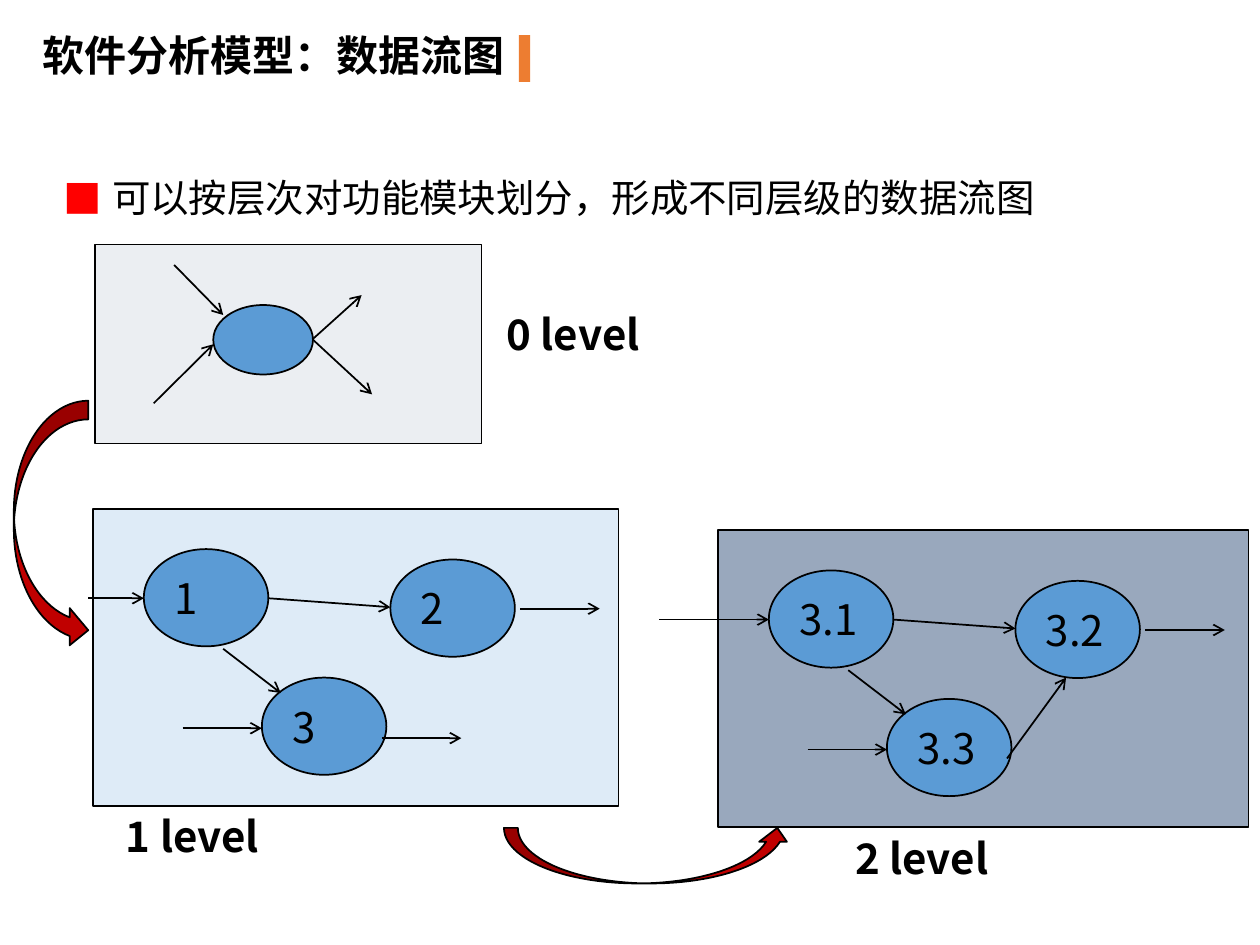
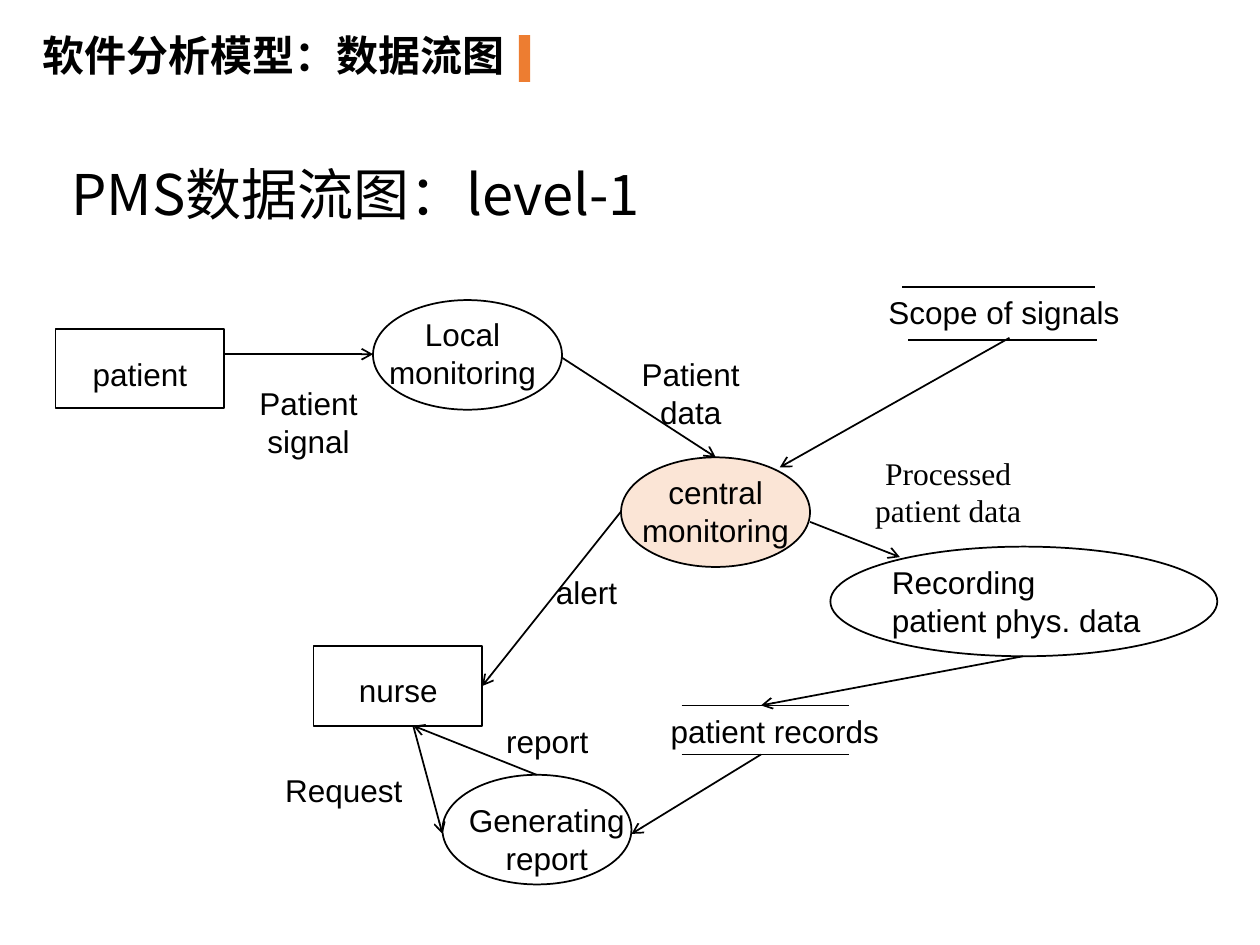
from dataclasses import dataclass

import pptx
import pptx.dml.color
import pptx.enum.shapes
import pptx.enum.text
import pptx.oxml
import pptx.oxml.ns
import pptx.util
from lxml import etree

Cm, Pt = pptx.util.Cm, pptx.util.Pt
SHAPE = pptx.enum.shapes.MSO_SHAPE
ALIGN = pptx.enum.text.PP_ALIGN
RIGHT_SIDE = 3


@dataclass(frozen=True)
class Theme:
    ink: str = "000000"
    paper: str = "FFFFFF"
    accent: str = "ED7D31"
    bullet: str = "FF0000"
    process: str = "5B9BD5"
    highlight: str = "FBE5D6"
    descent: str = "C00000"
    cjk: str = "Noto Sans CJK SC"
    sans: str = "Arial"
    serif: str = "Times New Roman"
    title_size: int = 24
    node_size: int = 24
    bullet_size: int = 22
    heading_size: int = 32
    label_size: int = 18


THEME = Theme()

# All measures are in centimetres: boxes are (left, top, width, height),
# flows are (from x, from y, to x, to y).
TITLE = "软件分析模型：数据流图"
TITLE_BOX = (0.61, 0.46, 11.48, 1.27)
TITLE_BAR = (10.46, 0.71, 0.23, 0.94)

# Slide 1: nodes and flows are measured from the corner of their level's panel.
LAYERING_POINT = "可以按层次对功能模块划分，形成不同层级的数据流图"
LAYERING_BOX = (1.04, 3.38, 22.89, 1.19)
BULLET_INDENT = 0.97

DETAIL_NODE = (2.51, 1.96)
DETAIL_PLACES = [(1.02, 0.81), (5.99, 1.02), (3.4, 3.4)]
DETAIL_FLOWS = [
    (2.62, 2.82, 3.78, 3.71),
    (3.53, 1.8, 5.99, 1.98),
    (1.8, 4.42, 3.4, 4.42),
    (8.61, 2.01, 10.21, 2.01),
]
LEVELS = [
    dict(
        label="0 level", label_box=(9.96, 6.1, 3.81, 1.27),
        panel=(1.91, 4.93, 7.8, 4.01), fill="EBEEF2",
        node_size=(2.01, 1.4), nodes=[""], places=[(2.39, 1.22)],
        flows=[
            (1.6, 0.41, 2.59, 1.42),
            (1.19, 3.2, 2.39, 2.01),
            (4.39, 1.91, 5.38, 1.02),
            (4.39, 1.91, 5.59, 3.02),
        ],
    ),
    dict(
        label="1 level", label_box=(2.29, 16.21, 8.56, 1.27),
        panel=(1.88, 10.26, 10.59, 5.99), fill="DEEBF7",
        node_size=DETAIL_NODE, nodes=["1", "2", "3"], places=DETAIL_PLACES,
        flows=DETAIL_FLOWS + [(-0.1, 1.8, 1.02, 1.8), (5.82, 4.62, 7.42, 4.62)],
    ),
    dict(
        label="2 level", label_box=(16.99, 16.66, 8.2, 1.27),
        panel=(14.48, 10.69, 10.69, 5.99), fill="99A8BD",
        node_size=DETAIL_NODE, nodes=["3.1", "3.2", "3.3"], places=DETAIL_PLACES,
        flows=DETAIL_FLOWS + [(-1.19, 1.8, 1.02, 1.8), (5.82, 4.6, 7.01, 2.97)],
    ),
]
DESCENTS = [
    (SHAPE.CURVED_RIGHT_ARROW, (0.28, 8.08, 1.5, 5)),
    (SHAPE.CURVED_UP_ARROW, (10.16, 16.69, 5.79, 1.12)),
]

# Slide 2
PMS_HEADING = "PMS数据流图：level-1"
PMS_HEADING_BOX = (1.19, 3.25, 16.28, 1.83)
PROCESS = (3.81, 2.21)
ENTITY = (3.4, 1.6)
PROCESSES = [
    ((12.52, 9.22, *PROCESS), THEME.highlight),
    ((7.52, 6.05, *PROCESS), THEME.paper),
    ((8.92, 15.62, *PROCESS), THEME.paper),
    ((16.74, 11.02, 7.8, 2.21), THEME.paper),
]
PATIENT = (1.12, 6.63, *ENTITY)
NURSE = (6.32, 13.03, *ENTITY)
STORE_EDGES = [
    (13.74, 14.22, 17.12, 14.22),
    (13.74, 15.21, 17.12, 15.21),
    (18.19, 5.79, 22.07, 5.79),
    (18.31, 6.86, 22.12, 6.86),
]
ALERT_FLOW = (12.52, 10.31, 9.73, 13.83)
PMS_FLOWS = [
    (4.52, 7.14, 7.52, 7.14),
    (11.33, 7.21, 14.43, 9.22),
    (20.35, 6.81, 15.72, 9.42),
    (16.33, 10.52, 18.14, 11.23),
    (20.62, 13.23, 15.34, 14.22),
    (15.34, 15.21, 12.73, 16.81),
    (10.82, 15.62, 8.33, 14.63),
    (8.33, 14.63, 8.92, 16.81),
]
ONE_LINE, TWO_LINES = 1.02, 1.8
PMS_LABELS = [
    ("patient", (1.32, 7.04, 3, ONE_LINE)),
    ("nurse", (6.53, 13.41, 3, ONE_LINE)),
    ("patient records", (12.32, 14.22, 6.6, ONE_LINE)),
    ("Scope of signals", (16.94, 5.79, 6.6, ONE_LINE)),
    ("alert", (10.72, 11.43, 2.21, ONE_LINE)),
    ("Request", (5.33, 15.42, 3.2, ONE_LINE)),
    ("report", (9.93, 14.43, 2.21, ONE_LINE)),
    ("Local monitoring", (7.52, 6.22, 3.61, TWO_LINES)),
    ("Patient signal", (4.52, 7.62, 3.4, TWO_LINES)),
    ("central monitoring", (12.52, 9.42, 3.81, TWO_LINES)),
    ("Patient data", (12.12, 7.04, 3.61, TWO_LINES)),
    ("Generating report", (9.12, 16.03, 3.81, TWO_LINES)),
]
RECORDING = ("Recording\vpatient phys. data", (17.73, 11.23, 5.59, TWO_LINES))
PROCESSED = ("Processed patient data", (17.12, 9.02, 3.99, TWO_LINES))


def rgb(value):
    return pptx.dml.color.RGBColor.from_string(value)


def lengths(values):
    return [Cm(value) for value in values]


def write(frame, text, size, font=THEME.cjk, bold=False, align=ALIGN.LEFT):
    """Fill a text frame with one formatted paragraph and return it."""
    frame.text = text
    frame.word_wrap = True
    frame.auto_size = pptx.enum.text.MSO_AUTO_SIZE.NONE
    paragraph = frame.paragraphs[0]
    paragraph.alignment = align
    for run in paragraph.runs:
        run.font.size = Pt(size)
        run.font.bold = bold
        run.font.color.rgb = rgb(THEME.ink)
        run.font.name = font
        east_asian = etree.SubElement(run.font._element, pptx.oxml.ns.qn("a:ea"))
        east_asian.set("typeface", font)
    return paragraph


def add_text(slide, text, box, size, **style):
    frame = slide.shapes.add_textbox(*lengths(box)).text_frame
    return write(frame, text, size, **style)


def add_block(slide, kind, box, fill, outlined=True):
    block = slide.shapes.add_shape(kind, *lengths(box))
    block.shadow.inherit = False
    block.fill.solid()
    block.fill.fore_color.rgb = rgb(fill)
    if outlined:
        block.line.color.rgb = rgb(THEME.ink)
        block.line.width = Pt(1)
    else:
        block.line.fill.background()
    return block


def add_line(slide, ends, arrow=True):
    straight = pptx.enum.shapes.MSO_CONNECTOR.STRAIGHT
    line = slide.shapes.add_connector(straight, *lengths(ends))
    line.line.color.rgb = rgb(THEME.ink)
    line.line.width = Pt(1)
    if arrow:
        head = etree.SubElement(line.line._get_or_add_ln(), pptx.oxml.ns.qn("a:tailEnd"))
        head.set("type", "arrow")
    etree.SubElement(line._element.spPr, pptx.oxml.ns.qn("a:effectLst"))
    return line


def add_titled_slide(deck):
    slide = deck.slides.add_slide(deck.slide_layouts[5])
    title = slide.shapes.title
    title.left, title.top, title.width, title.height = lengths(TITLE_BOX)
    write(title.text_frame, TITLE, THEME.title_size, bold=True)
    title.text_frame.vertical_anchor = pptx.enum.text.MSO_ANCHOR.TOP
    add_block(slide, SHAPE.RECTANGLE, TITLE_BAR, THEME.accent, outlined=False)
    return slide


def add_bullet(paragraph):
    properties = paragraph._p.get_or_add_pPr()
    properties.set("marL", str(Cm(BULLET_INDENT)))
    properties.set("indent", str(-Cm(BULLET_INDENT)))
    colour = etree.SubElement(properties, pptx.oxml.ns.qn("a:buClr"))
    etree.SubElement(colour, pptx.oxml.ns.qn("a:srgbClr")).set("val", THEME.bullet)
    etree.SubElement(properties, pptx.oxml.ns.qn("a:buFont")).set("typeface", THEME.cjk)
    etree.SubElement(properties, pptx.oxml.ns.qn("a:buChar")).set("char", "■")


def add_level(slide, level):
    left, top = level["panel"][:2]
    add_block(slide, SHAPE.RECTANGLE, level["panel"], level["fill"])
    for name, (x, y) in zip(level["nodes"], level["places"]):
        box = (left + x, top + y, *level["node_size"])
        node = add_block(slide, SHAPE.OVAL, box, THEME.process)
        if name:
            write(node.text_frame, name, THEME.node_size)
    for x1, y1, x2, y2 in level["flows"]:
        add_line(slide, (left + x1, top + y1, left + x2, top + y2))
    add_text(slide, level["label"], level["label_box"], THEME.title_size, bold=True)


def build_levels(deck):
    slide = add_titled_slide(deck)
    add_bullet(add_text(slide, LAYERING_POINT, LAYERING_BOX, THEME.bullet_size))
    for level in LEVELS:
        add_level(slide, level)
    for kind, box in DESCENTS:
        add_block(slide, kind, box, THEME.descent)


def build_pms(deck):
    slide = add_titled_slide(deck)
    heading = add_text(slide, PMS_HEADING, PMS_HEADING_BOX, THEME.heading_size)
    heading.line_spacing = 0.9
    for box, fill in PROCESSES:
        add_block(slide, SHAPE.OVAL, box, fill)
    add_block(slide, SHAPE.RECTANGLE, PATIENT, THEME.paper)
    nurse = add_block(slide, SHAPE.RECTANGLE, NURSE, THEME.paper)
    for edge in STORE_EDGES:
        add_line(slide, edge, arrow=False)
    for flow in PMS_FLOWS:
        add_line(slide, flow)
    add_line(slide, ALERT_FLOW).end_connect(nurse, RIGHT_SIDE)
    for text, box in PMS_LABELS:
        add_text(slide, text, box, THEME.label_size, font=THEME.sans, align=ALIGN.CENTER)
    add_text(slide, *RECORDING, THEME.label_size, font=THEME.sans)
    add_text(slide, *PROCESSED, THEME.label_size, font=THEME.serif, align=ALIGN.CENTER)


def main():
    deck = pptx.Presentation()
    deck.slide_width, deck.slide_height = Cm(25.4), Cm(19.05)
    build_levels(deck)
    build_pms(deck)
    deck.save("out.pptx")


if __name__ == "__main__":
    main()
